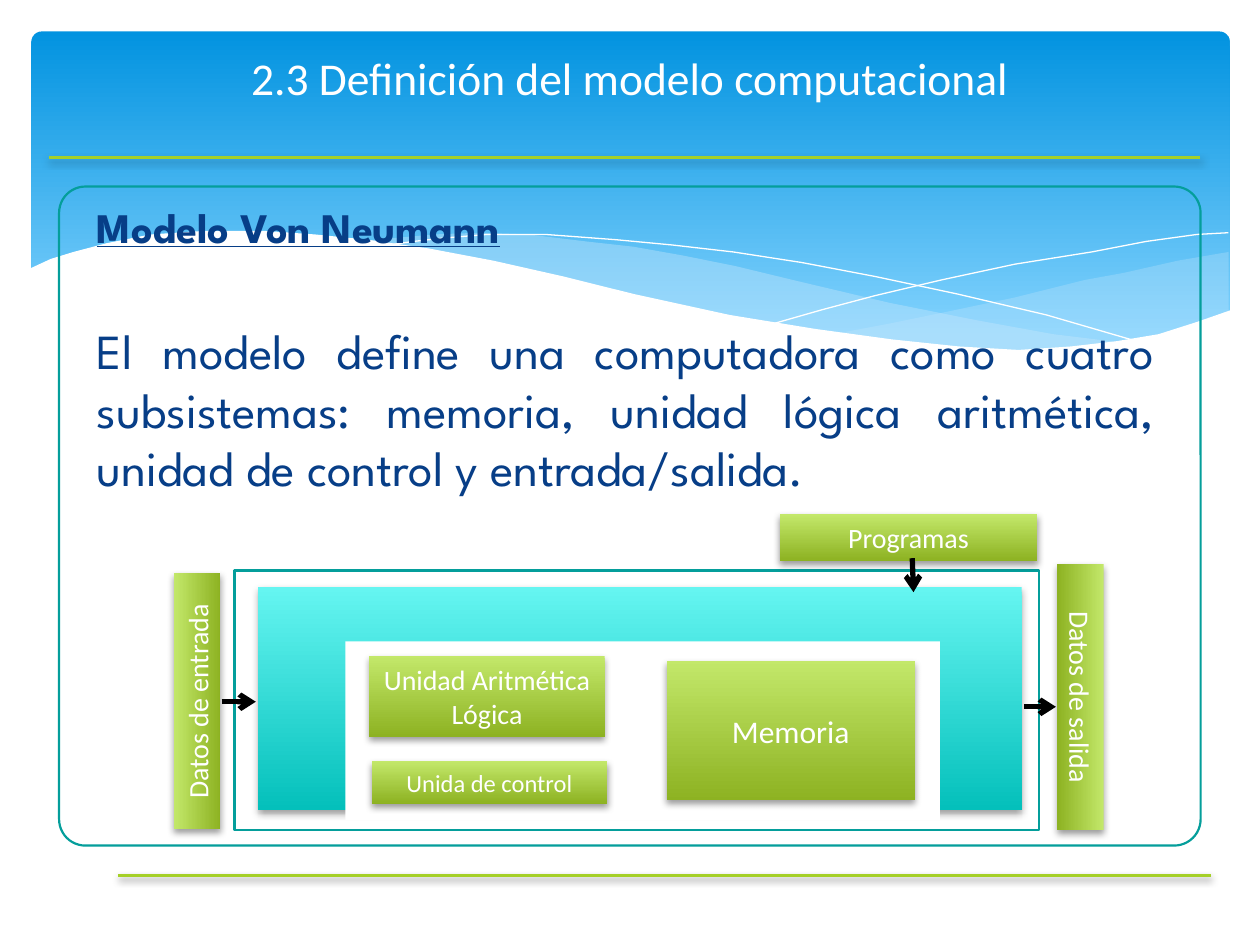
from typing import NamedTuple

import pptx
import pptx.dml.color
import pptx.enum.dml
import pptx.enum.shapes
import pptx.enum.text
import pptx.oxml
import pptx.oxml.ns
import pptx.util

Pt = pptx.util.Pt
Kind = pptx.enum.shapes.MSO_SHAPE
Align = pptx.enum.text.PP_ALIGN
Anchor = pptx.enum.text.MSO_ANCHOR
A_NS = pptx.oxml.ns.nsdecls("a")

WHITE, BLACK, NAVY = "FFFFFF", "000000", "073E87"
TEAL, LIME, ICE = "049E9B", "A5D028", "C6E7FC"
SKY = ("0293E0", "83D3FE", 0.9)
AQUA = ("65F5F1", "04C0BB", 1)
GREEN = ("C3E86A", "8DB222", 1)


class Box(NamedTuple):
    text: str
    left: float
    top: float
    width: float
    height: float
    size: float = 16
    turn: float = 0


class Wave(NamedTuple):
    points: list
    fill: str | None = None
    alpha: int = 100


class Line(NamedTuple):
    x1: float
    y1: float
    x2: float
    y2: float


WAVES = [
    Wave([(702.5, 144), (673, 149), (641.5, 155.5), (620, 160.5), (579.5, 170.5),
          (542, 178.5), (508, 185), (476, 191), (497.5, 193.5), (527, 197.5),
          (553.5, 199.5), (578, 200), (601, 199.5), (628, 197.5), (651.5, 193.5),
          (673, 188.5), (693.5, 181.5), (702.5, 178)], ICE, 29),
    Wave([(643, 196.5), (602.5, 191), (558, 183), (508.5, 173), (453, 160),
          (420.5, 152), (389.5, 146), (361.5, 141), (335, 137.5), (302.5, 134.5),
          (273.5, 133), (247.5, 134), (225.5, 135.5), (206, 137.5), (232.5, 141),
          (260.5, 146), (291, 152), (323.5, 160), (381.5, 173), (420.5, 181.5),
          (456.5, 188), (489.5, 193), (520, 197.5), (548, 199.5), (573, 200),
          (596, 200), (617, 199.5)], ICE, 40),
    Wave([(222.5, 140.5), (236, 138), (254, 136), (278.5, 134.5), (312, 134.5),
          (352, 137), (384, 139.5), (419, 144), (458, 150), (500.5, 157.5),
          (547, 168), (598.5, 180.5), (653, 196)]),
    Wave([(441.5, 185), (470, 177), (500.5, 169), (538.5, 160.5), (580.5, 151),
          (623.5, 143.5), (655, 138), (684.5, 134.5), (702, 133)]),
    Wave([(703.5, 177), (684, 184.5), (662.5, 191), (638.5, 195), (612, 198),
          (582.5, 199.5), (548, 198), (510, 194.5), (466.5, 188.5), (417, 180),
          (362, 168), (322, 158.5), (281.5, 149), (245, 142), (210, 137),
          (180, 134), (152, 132.5), (116, 132.5), (85.5, 134.5), (61, 139),
          (42.5, 143.5), (29, 147.5), (16.5, 153.5), (16.5, 237), (703.5, 237)], WHITE),
]
RULES = [Line(686, 90, 28, 90), Line(692, 500.4, 67.7, 500.4)]
BOXES = [
    Box("Unidad Aritmética Lógica", 211, 375, 134.6, 46),
    Box("Unida de control", 212.4, 434.9, 134.6, 24.5, 14),
    Box("Memoria", 381, 377.5, 141.8, 80, 18),
    Box("Datos de entrada", 39.6, 387.4, 146.2, 26.6, turn=270),
    Box("Datos de salida", 541.4, 385.2, 152, 26.6, turn=90),
    Box("Programas", 445.7, 294, 147, 26.6),
]
ARROWS = [Line(126.7, 401, 146.2, 401), Line(521.3, 319, 522, 338.4),
          Line(585.4, 403.9, 603.4, 403.9)]


def tint(fmt, color: str) -> None:
    """Set a fill, line or font to a solid colour."""
    if hasattr(fmt, "solid"):
        fmt.solid()
        fmt = fmt.fore_color
    elif hasattr(fmt, "color"):
        fmt = fmt.color
    fmt.rgb = pptx.dml.color.RGBColor.from_string(color)


def shade(shape, on: bool) -> None:
    """Add a soft shadow below the shape, or none; call after line and fill."""
    inner = ('<a:outerShdw blurRad="50800" dist="25400" dir="5400000" rotWithShape="0">'
             '<a:srgbClr val="000000"><a:alpha val="38000"/></a:srgbClr></a:outerShdw>')
    shape._element.spPr.append(pptx.oxml.parse_xml(
        f"<a:effectLst {A_NS}>{inner if on else ''}</a:effectLst>"))


def paint(shape, fill=None, line: str | None = None, width: float = 1.25,
          alpha: int = 100, glow: bool = False) -> None:
    """Give a shape its fill (hex, gradient or none), line and shadow."""
    if fill is None:
        shape.fill.background()
    elif isinstance(fill, tuple):
        first, last, end = fill
        shape.fill.gradient()
        shape.fill.gradient_angle = 270
        stops = shape.fill.gradient_stops
        for stop, color, place in zip(stops, (first, last), (0, end)):
            tint(stop, color)
            stop.position = place
    else:
        tint(shape.fill, fill)
        if alpha < 100:
            color = shape._element.spPr.find(".//" + pptx.oxml.ns.qn("a:srgbClr"))
            color.append(pptx.oxml.parse_xml(f'<a:alpha {A_NS} val="{alpha * 1000}"/>'))
    if line:
        tint(shape.line, line)
        shape.line.width = Pt(width)
    else:
        shape.line.fill.background()
    shade(shape, glow)


def block(shapes, kind, left: float, top: float, width: float, height: float, **look):
    shape = shapes.add_shape(kind, Pt(left), Pt(top), Pt(width), Pt(height))
    paint(shape, **look)
    return shape


def write(para, text: str, *, size: float, color: str = WHITE, font: str = "Calibri",
          align=Align.CENTER, bold: bool = False, under: bool = False,
          before: float = 0) -> None:
    para.alignment = align
    para.space_before = Pt(before)
    run = para.add_run()
    run.text = text
    run.font.name, run.font.size = font, Pt(size)
    run.font.bold, run.font.underline = bold, under
    tint(run.font, color)


def place(shapes, holder, left: float, top: float, width: float, height: float):
    """Move a placeholder, bring it to the front and return its text frame."""
    holder.left, holder.top, holder.width, holder.height = map(Pt, (left, top, width, height))
    shapes._spTree.append(holder._element)
    frame = holder.text_frame
    frame.auto_size = pptx.enum.text.MSO_AUTO_SIZE.NONE
    frame.word_wrap = True
    return frame


def draw_wave(shapes, wave: Wave) -> None:
    build = shapes.build_freeform(*wave.points[0], scale=Pt(1))
    build.add_line_segments(wave.points[1:], close=wave.fill is not None)
    paint(build.convert_to_shape(), fill=wave.fill, alpha=wave.alpha,
          line=None if wave.fill else WHITE, width=0)


def draw_line(shapes, line: Line, color: str, width: float, arrow: bool = False) -> None:
    link = shapes.add_connector(pptx.enum.shapes.MSO_CONNECTOR.STRAIGHT, *map(Pt, line))
    tint(link.line, color)
    link.line.width = Pt(width)
    if arrow:
        link.line._get_or_add_ln().append(
            pptx.oxml.parse_xml(f'<a:tailEnd {A_NS} type="arrow"/>'))
    shade(link, not arrow)


def draw_box(shapes, box: Box) -> None:
    shape = block(shapes, Kind.RECTANGLE, box.left, box.top, box.width, box.height,
                  fill=GREEN, glow=True)
    shape.rotation = box.turn
    frame = shape.text_frame
    frame.word_wrap = True
    frame.vertical_anchor = Anchor.MIDDLE
    write(frame.paragraphs[0], box.text, size=box.size)


def main() -> None:
    deck = pptx.Presentation()
    deck.slide_width, deck.slide_height = Pt(720), Pt(540)
    slide = deck.slides.add_slide(deck.slide_layouts[1])
    shapes = slide.shapes
    title, body = shapes.title, slide.placeholders[1]

    block(shapes, Kind.ROUNDED_RECTANGLE, 18, 18, 684.7, 194.4, fill=SKY).adjustments[0] = 0.03
    for wave in WAVES:
        draw_wave(shapes, wave)
    for rule in RULES:
        draw_line(shapes, rule, LIME, 2)
    block(shapes, Kind.ROUNDED_RECTANGLE, 33.8, 106.6, 652.3, 376.6,
          line=TEAL).adjustments[0] = 0.04

    frame = place(shapes, body, 48.2, 111.6, 618.5, 332)
    paras = [frame.paragraphs[0], frame.add_paragraph()]
    look = dict(color=NAVY, font="League Spartan", align=Align.JUSTIFY)
    write(paras[0], "Modelo Von Neumann", size=24, bold=True, under=True, before=5, **look)
    write(paras[1], "El modelo define una computadora como cuatro subsistemas: memoria, "
          "unidad lógica aritmética, unidad de control y entrada/salida.",
          size=28, before=39, **look)
    for para in paras:
        props = para._p.get_or_add_pPr()
        props.set("marL", "0")
        props.set("indent", "0")
        props.append(pptx.oxml.parse_xml(f"<a:buNone {A_NS}/>"))

    frame = place(shapes, title, 0, 0, 720, 88.6)
    frame.vertical_anchor = Anchor.MIDDLE
    write(frame.paragraphs[0], "2.3 Definición del modelo computacional", size=26)

    block(shapes, Kind.RECTANGLE, 134, 326, 460, 148.3, fill=WHITE, line=TEAL)
    block(shapes, Kind.RECTANGLE, 147.6, 335.5, 436.3, 127.4, fill=AQUA, glow=True)
    block(shapes, Kind.RECTANGLE, 197.3, 366.5, 339.8, 102.2, fill=WHITE)
    for box in BOXES:
        draw_box(shapes, box)
    for arrow in ARROWS:
        draw_line(shapes, arrow, BLACK, 3, arrow=True)
    deck.save("out.pptx")


if __name__ == "__main__":
    main()
